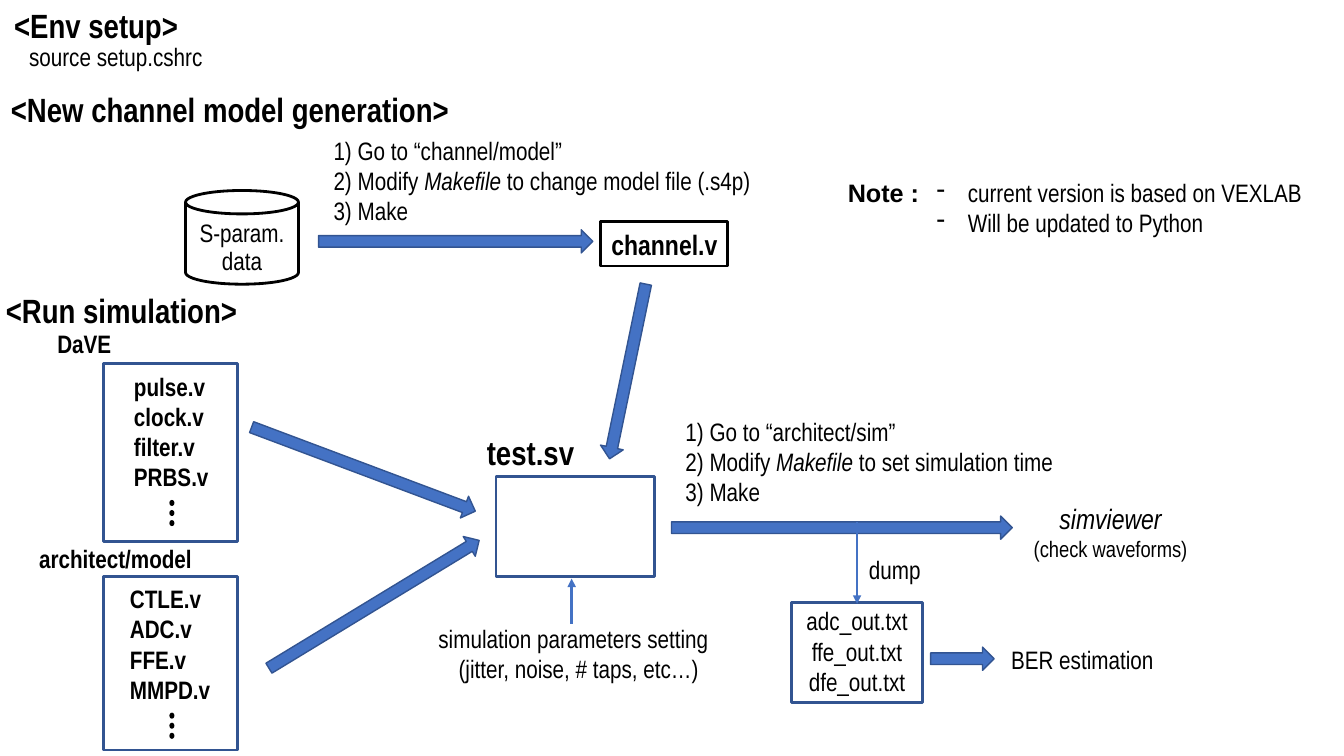
from pptx import Presentation
from pptx.dml.color import RGBColor
from pptx.enum.shapes import MSO_CONNECTOR, MSO_SHAPE as SHAPE
from pptx.enum.text import MSO_ANCHOR, MSO_AUTO_SIZE, PP_ALIGN
from pptx.oxml.ns import qn
from pptx.util import Inches, Pt
from lxml.etree import SubElement

COLORS = {"ink": "000000", "paper": "FFFFFF", "blue": "4472C4", "edge": "325491"}
FONT = "Arial Narrow"
LEFT, CENTER = PP_ALIGN.LEFT, PP_ALIGN.CENTER
BOLD = {"bold": True}

# Content: asterisks enclose italic words
TITLE = ("<Env setup>", 0.04, 0, 1.84)
HEADINGS = [  # text, left, top, width
    ("<New channel model generation>", 0.01, 0.83, 4.6),
    ("<Run simulation>", -0.04, 2.83, 2.52),
    ("test.sv", 4.73, 4.24, 1.08),
]
MODULES = [  # folder, its left, top, width; files, their left, width; box top, height
    ("DaVE", 0.47, 3.21, 0.74,
     ["pulse.v", "clock.v", "filter.v", "PRBS.v"], 1.23, 0.95, 3.61, 1.76),
    ("architect/model", 0.29, 5.34, 1.73,
     ["CTLE.v", "ADC.v", "FFE.v", "MMPD.v"], 1.19, 1.01, 5.72, 1.72),
]
NOTES = ["current version is based on VEXLAB", "Will be updated to Python"]
TEXTS = [  # lines, left, top, width, alignment
    (["source setup.cshrc"], 0.19, 0.36, 2.01, LEFT),
    (["1) Go to “channel/model”",
      "2) Modify *Makefile* to change model file (.s4p)",
      "3) Make"], 3.21, 1.29, 4.44, LEFT),
    (["1) Go to “architect/sim”",
      "2) Modify *Makefile* to set simulation time",
      "3) Make"], 6.7, 4.08, 3.89, LEFT),
    (["dump"], 8.52, 5.45, 0.72, LEFT),
    (["adc_out.txt", "ffe_out.txt", "dfe_out.txt"], 7.89, 5.96, 1.22, CENTER),
    (["BER estimation"], 9.93, 6.34, 1.63, LEFT),
    (["simulation parameters setting"], 4.25, 6.13, 2.91, LEFT),
    (["(jitter, noise, # taps, etc…)"], 4.45, 6.43, 2.61, LEFT),
]
BLOCK_ARROWS = [  # left, top, length, rotation
    (3.16, 2.28, 2.72, 0), (2.42, 4.54, 2.37, 20.6), (2.49, 5.88, 2.44, 328.7),
    (5.34, 3.57, 1.77, 101.7), (6.66, 5.12, 3.38, 0), (9.23, 6.42, 0.63, 0),
]
THIN_ARROWS = [(8.5, 5.18, 5.99), (5.67, 6.19, 5.74)]  # x, start y, end y
BOXES = [(4.92, 4.73, 1.57, 0.99), (7.85, 5.98, 1.3, 0.99)]  # test bench, dumped files

prs = Presentation()
prs.slide_width, prs.slide_height = Inches(13.33), Inches(7.5)
slide = prs.slides.add_slide(prs.slide_layouts[5])
shapes = slide.shapes


def rgb(name):
    return RGBColor.from_string(COLORS[name])


def write(s, lines, size=18, align=LEFT, font=FONT, anchor=MSO_ANCHOR.TOP, **style):
    tf = s.text_frame
    frame = {"word_wrap": False, "vertical_anchor": anchor,
             "margin_left": Inches(0.1), "margin_right": Inches(0.1),
             "margin_top": Inches(0.05), "margin_bottom": Inches(0.05)}
    for key, value in frame.items():
        setattr(tf, key, value)
    for i, line in enumerate(lines):
        p = tf.add_paragraph() if i else tf.paragraphs[0]
        p.alignment = align
        for j, part in enumerate(line.split("*")):
            if not part:
                continue
            r = p.add_run()
            r.text = part
            look = {"name": font, "size": Pt(size), "bold": False,
                    "italic": j % 2 == 1, **style}
            for key, value in look.items():
                setattr(r.font, key, value)
            r.font.color.rgb = rgb("ink")
    return tf


def text(lines, left, top, width, align=LEFT, size=18, **style):
    height = 0.1 + len(lines) * size * 0.0168
    s = shapes.add_textbox(*map(Inches, (left, top, width, height)))
    tf = write(s, lines, size, align, **style)
    tf.auto_size = MSO_AUTO_SIZE.SHAPE_TO_FIT_TEXT
    return tf


def shape(kind, left, top, width, height, fill=None, line=None, weight=2):
    s = shapes.add_shape(kind, *map(Inches, (left, top, width, height)))
    s.shadow.inherit = False
    if fill:
        s.fill.solid()
        s.fill.fore_color.rgb = rgb(fill)
    else:
        s.fill.background()
    if line:
        s.line.color.rgb = rgb(line)
        s.line.width = Pt(weight)
    else:
        s.line.fill.background()
    return s


# Section headings
label, left, top, width = TITLE
title = shapes.title
title.left, title.top, title.width, title.height = map(Inches, (left, top, width, 0.5))
write(title, [label], 24, **BOLD)
for label, left, top, width in HEADINGS:
    text([label], left, top, width, size=24, **BOLD)

# Channel model source and result
can = shape(SHAPE.CAN, 1.84, 1.89, 1.12, 0.93, "paper", "ink")
can_tf = write(can, ["S-param.", "data"], align=CENTER, anchor=MSO_ANCHOR.MIDDLE)
can_tf.margin_top, can_tf.margin_bottom = Inches(0.1), 0
for p in can_tf.paragraphs:
    p.line_spacing = 0.93
channel = shape(SHAPE.RECTANGLE, 5.96, 2.2, 1.26, 0.44, None, "ink")
write(channel, ["channel.v"], 20, CENTER, anchor=MSO_ANCHOR.MIDDLE, **BOLD)

# Module lists, each continued by three dots
for folder, x, y, w, files, files_x, files_w, box_y, box_h in MODULES:
    text([folder], x, y, w, **BOLD)
    shape(SHAPE.RECTANGLE, 1.03, box_y, 1.33, box_h, None, "edge")
    text(files, files_x, box_y + 0.02, files_w, **BOLD)
    for i in range(3):
        shape(SHAPE.OVAL, 1.68, box_y + 1.35 + 0.1 * i, 0.05, 0.06, "ink")

# Boxes and arrows
for box in BOXES:
    shape(SHAPE.RECTANGLE, *box, None, "edge")
for left, top, length, angle in BLOCK_ARROWS:
    arrow = shape(SHAPE.RIGHT_ARROW, left, top, length, 0.23, "blue", "edge", 1)
    arrow.rotation = angle
for x, start, end in THIN_ARROWS:
    c = shapes.add_connector(MSO_CONNECTOR.STRAIGHT, *map(Inches, (x, start, x, end)))
    c.line.color.rgb = rgb("blue")
    c.line.width = Pt(2)
    spPr = c._element.spPr
    SubElement(spPr.find(qn("a:ln")), qn("a:tailEnd"), type="triangle")
    SubElement(spPr, qn("a:effectLst"))

# Instructions and labels
for item in TEXTS:
    text(*item)
viewer = text(["*simviewer*", "(check waveforms)"], 10.14, 4.93, 1.75, CENTER)
for p, size in zip(viewer.paragraphs, (20, 16)):
    p.runs[0].font.size = Pt(size)

# Note with dash bullets
text(["Note :"], 8.31, 1.71, 0.99, font="Arial", **BOLD)
for p in text(NOTES, 9.19, 1.71, 3.88).paragraphs:
    pPr = p._p.get_or_add_pPr()
    pPr.set("marL", str(Inches(0.31)))
    pPr.set("indent", str(-Inches(0.31)))
    SubElement(pPr, qn("a:buChar"), char="-")

prs.save("out.pptx")
